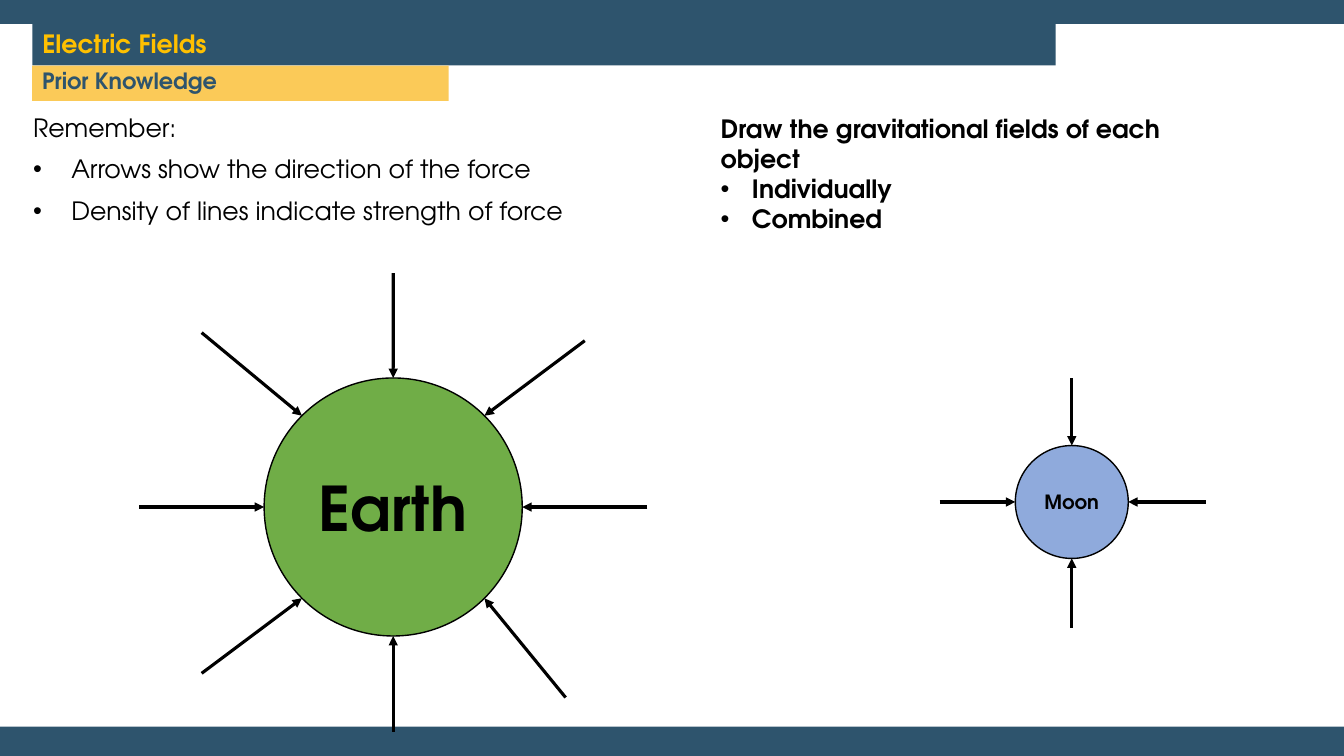
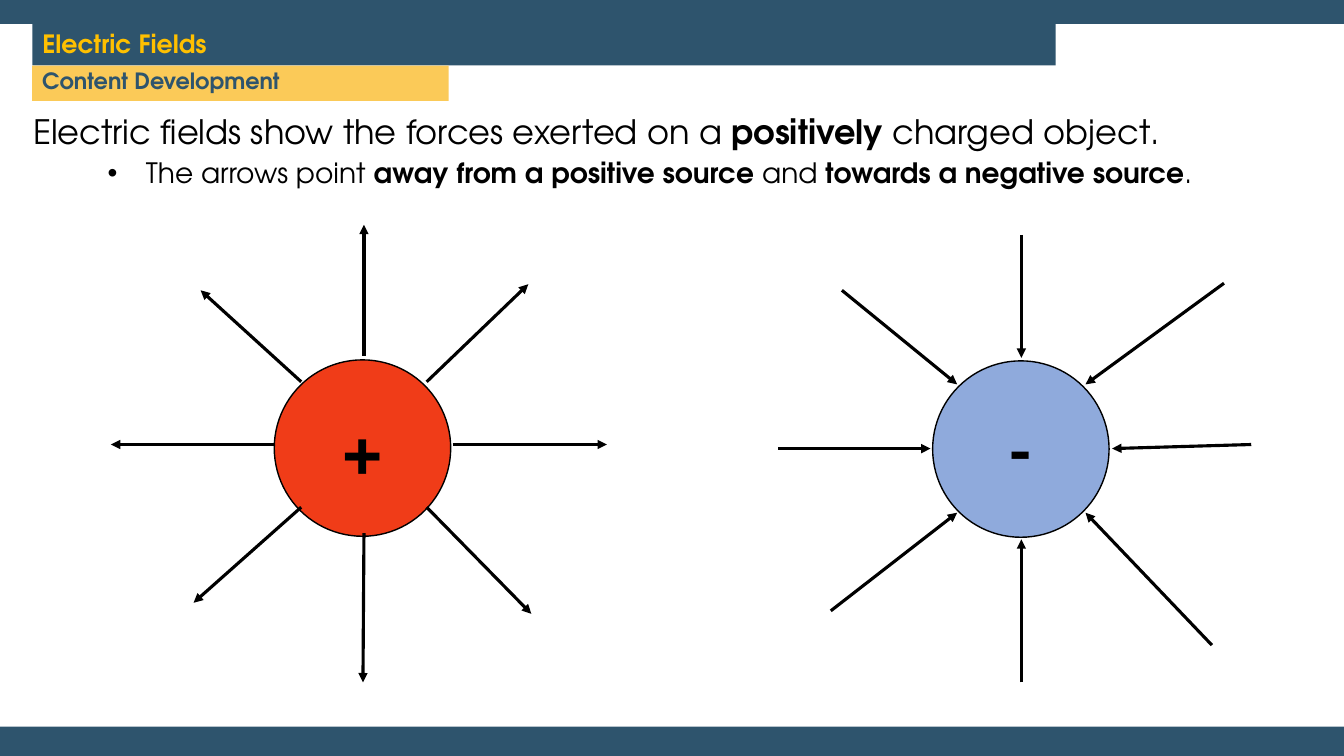
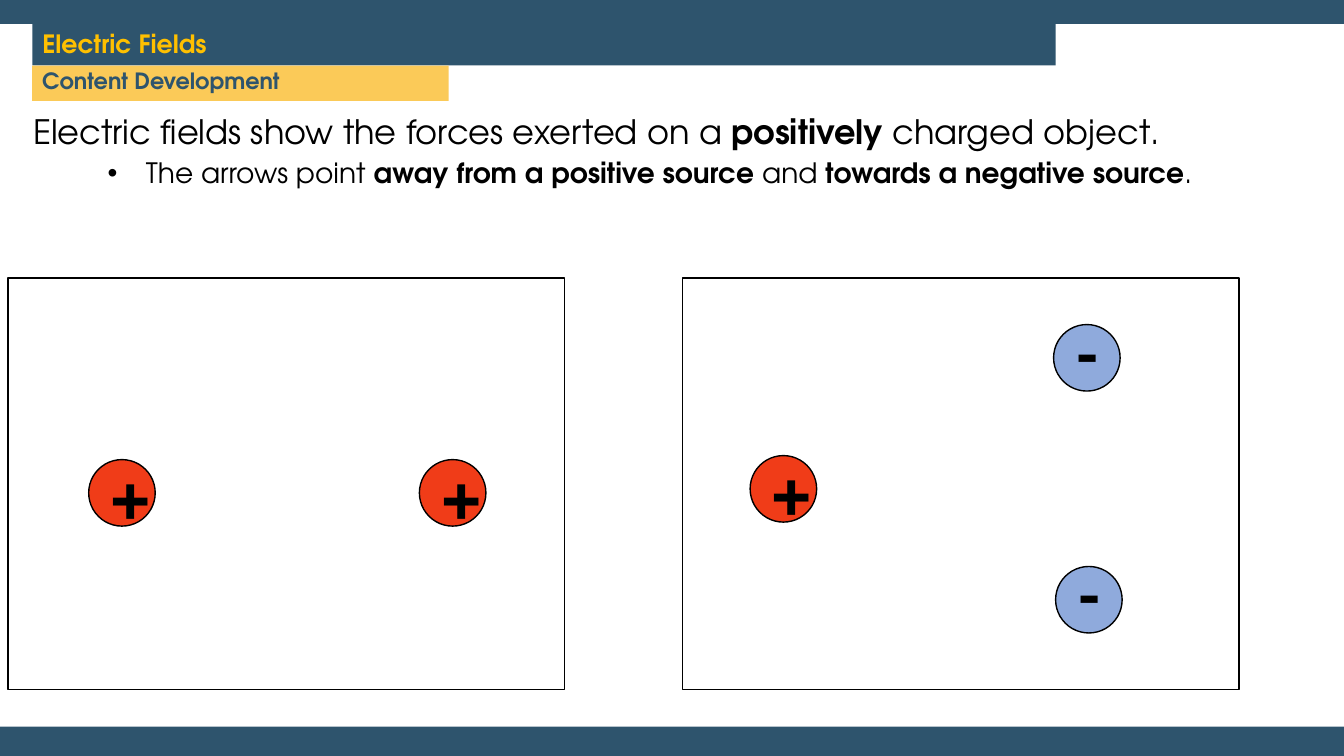
"""Builds three lesson slides on gravitational and electric fields."""
from dataclasses import dataclass
from math import cos, pi, sin

from lxml.etree import SubElement
from pptx import Presentation
from pptx.dml.color import RGBColor
from pptx.enum.shapes import MSO_CONNECTOR, MSO_SHAPE as SHAPE
from pptx.enum.text import MSO_ANCHOR as ANCHOR, MSO_AUTO_SIZE, PP_ALIGN as ALIGN
from pptx.oxml.ns import qn
from pptx.util import Inches, Pt

FONT = "TeX Gyre Adventor"
COLORS = {
    "navy": "2E546D", "white": "FFFFFF", "gold": "FFC000", "sand": "FBCA58",
    "black": "000000", "earth": "70AD47", "blue": "8FAADC", "red": "F03C18",
}
WIDTH, HEIGHT = 13.33, 7.5
NOTES_BOX = (0.23, 1.1, 13.1, 0.97)


@dataclass
class Para:
    """Runs of (text, bold) with the paragraph's format."""
    runs: list
    size: float
    color: str = "black"
    align: ALIGN = ALIGN.LEFT
    left: float = 0
    hang: float = 0
    before: float = 0
    spacing: float = 1.0
    level: int = 0


def rgb(name):
    """Gives the named colour."""
    return RGBColor.from_string(COLORS[name])


def write(frame, paras, anchor=ANCHOR.TOP):
    """Fills a text frame with formatted paragraphs."""
    frame.word_wrap = True
    frame.auto_size = MSO_AUTO_SIZE.NONE
    frame.vertical_anchor = anchor
    for index, para in enumerate(paras):
        line = frame.add_paragraph() if index else frame.paragraphs[0]
        if para.hang:
            props = line._p.get_or_add_pPr()
            props.set("marL", str(Inches(para.left)))
            props.set("indent", str(-Inches(para.hang)))
            SubElement(props, qn("a:buFont")).set("typeface", "Arial")
            SubElement(props, qn("a:buChar")).set("char", "•")
        line.level = para.level
        line.alignment = para.align
        line.line_spacing = para.spacing
        line.space_before = Pt(para.before)
        for text, bold in para.runs:
            span = line.add_run()
            span.text = text
            span.font.name = FONT
            span.font.size = Pt(para.size)
            span.font.bold = bold
            span.font.color.rgb = rgb(para.color)


def add_text(page, box, paras):
    """Adds a text box."""
    area = page.shapes.add_textbox(*map(Inches, box))
    write(area.text_frame, paras)
    return area


def add_block(page, kind, box, fill=None, line=None):
    """Adds a preset shape with a plain fill and an optional outline."""
    block = page.shapes.add_shape(kind, *map(Inches, box))
    block.shadow.inherit = False
    if fill:
        block.fill.solid()
        block.fill.fore_color.rgb = rgb(fill)
    else:
        block.fill.background()
    if line:
        block.line.color.rgb = rgb(line)
        block.line.width = Pt(1)
    else:
        block.line.fill.background()
    return block


def add_ball(page, box, fill, label=None, size=44):
    """Adds an outlined circle at (left, top, diameter), with a label."""
    left, top, diameter = box
    ball = add_block(page, SHAPE.OVAL, (left, top, diameter, diameter), fill, "black")
    if label:
        write(ball.text_frame, [Para([(label, True)], size, align=ALIGN.CENTER)], ANCHOR.MIDDLE)


def add_arrow(page, start, end):
    """Adds a straight line with an arrowhead at its end."""
    arrow = page.shapes.add_connector(MSO_CONNECTOR.STRAIGHT, *map(Inches, start + end))
    arrow.line.color.rgb = rgb("black")
    arrow.line.width = Pt(2.25)
    SubElement(arrow.line._get_or_add_ln(), qn("a:tailEnd")).set("type", "triangle")
    SubElement(arrow._element.spPr, qn("a:effectLst"))


def add_field(page, hub, radius, tips, outward=False):
    """Draws field lines clockwise from the left, between a circle and its tips."""
    x, y = hub
    for index, (across, down) in enumerate(tips):
        angle = pi + 2 * pi * index / len(tips)
        inner = (x + radius * cos(angle), y + radius * sin(angle))
        outer = (x + across, y + down)
        if outward:
            add_arrow(page, inner, outer)
        else:
            add_arrow(page, outer, inner)


def set_frame(deck, layout):
    """Puts the navy background and white panel on the layout."""
    layout.background.fill.solid()
    layout.background.fill.fore_color.rgb = rgb("navy")
    panel = add_block(deck.slides[0], SHAPE.RECTANGLE, (0, 0.24, WIDTH, 6.97), "white")
    layout.shapes.element.insert(2, panel.element)


def add_page(deck, layout, section):
    """Adds a slide with its title band and section band."""
    page = deck.slides.add_slide(layout)
    title = page.shapes.title
    title.left, title.top, title.width, title.height = map(Inches, (0.32, 0.24, 10.15, 0.41))
    title.fill.solid()
    title.fill.fore_color.rgb = rgb("navy")
    write(title.text_frame, [Para([("Electric Fields", True)], 18, "gold", spacing=0.9)], ANCHOR.MIDDLE)
    band = add_text(page, (0.32, 0.65, 4.13, 0.35),
                    [Para([(section, True)], 16, "navy", spacing=0.9)])
    band.fill.solid()
    band.fill.fore_color.rgb = rgb("sand")
    return page


def add_rule(page):
    """Writes the rule about the direction of electric fields."""
    add_text(page, NOTES_BOX, [
        Para([("Electric fields show the forces exerted on a ", False), ("positively", True),
              (" charged object.", False)], 24, align=ALIGN.JUSTIFY, spacing=0.9),
        Para([("The arrows point ", False), ("away from a positive source ", True),
              ("and ", False), ("towards a negative source", True), (".", False)],
             20, align=ALIGN.JUSTIFY, left=1.12, hang=0.38, before=5, spacing=0.9, level=1),
    ])


def fill_gravity(page):
    """Shows the gravitational fields of the Earth and the Moon."""
    bullet = dict(align=ALIGN.JUSTIFY, left=0.38, hang=0.38, before=10, spacing=0.9)
    add_text(page, NOTES_BOX, [
        Para([("Remember:", False)], 18, align=ALIGN.JUSTIFY, spacing=0.9),
        Para([("Arrows show the direction of the force", False)], 18, **bullet),
        Para([("Density of lines indicate strength of force", False)], 18, **bullet),
    ])
    add_ball(page, (2.62, 3.75, 2.56), "earth", "Earth")
    add_ball(page, (10.07, 4.42, 1.12), "blue", "Moon", 14)
    add_field(page, (3.9, 5.03), 1.28, [
        (-2.52, 0), (-1.9, -1.73), (0, -2.32), (1.9, -1.65),
        (2.52, 0), (1.71, 1.89), (0, 2.23), (-1.9, 1.65)])
    add_field(page, (10.63, 4.98), 0.56, [(-1.31, 0), (0, -1.23), (1.33, 0), (0, 1.25)])
    add_text(page, (7.05, 1.07, 5.29, 1.31), [
        Para([("Draw the gravitational fields of each object", True)], 18),
        *(Para([(text, True)], 18, left=0.31, hang=0.31) for text in ("Individually", "Combined")),
    ])


def fill_charges(page):
    """Shows the fields of a positive and a negative charge."""
    add_rule(page)
    add_ball(page, (2.72, 3.57, 1.75), "red", "+")
    add_field(page, (3.61, 4.41), 0.88, [
        (-2.51, 0), (-1.62, -1.53), (0, -2.18), (1.63, -1.59),
        (2.41, 0), (1.66, 1.68), (-0.01, 2.36), (-1.69, 1.57)], outward=True)
    add_ball(page, (9.25, 3.58, 1.75), "blue", "-")
    add_field(page, (10.13, 4.45), 0.9, [
        (-2.41, 0), (-1.78, -1.57), (0, -2.12), (2.01, -1.64),
        (2.28, -0.04), (1.89, 1.95), (0, 2.32), (-1.89, 1.61)])


def add_exercise(page, corner, positives, negatives):
    """Draws a frame with charges placed relative to its corner."""
    left, top = corner
    add_block(page, SHAPE.RECTANGLE, (left, top, 5.52, 4.08), line="black")
    for across, down in positives:
        add_ball(page, (left + across, top + down, 0.66), "red", "+")
    for across, down in negatives:
        x, y = left + across, top + down
        add_ball(page, (x, y, 0.66), "blue")
        add_text(page, (x + 0.11, y - 0.15, 0.94, 0.49), [Para([("-", True)], 44)])


def fill_exercises(page):
    """Shows two groups of charges to draw fields for."""
    add_rule(page)
    add_exercise(page, (0.08, 2.76), [(0.8, 1.8), (4.08, 1.8)], [])
    add_exercise(page, (6.77, 2.76), [(0.67, 1.76)], [(3.68, 0.46), (3.7, 2.86)])


def main():
    """Builds and saves the deck."""
    deck = Presentation()
    deck.slide_width, deck.slide_height = Inches(WIDTH), Inches(HEIGHT)
    layout = deck.slide_layouts[5]
    for section, fill in (("Prior Knowledge", fill_gravity),
                          ("Content Development", fill_charges),
                          ("Content Development", fill_exercises)):
        fill(add_page(deck, layout, section))
    set_frame(deck, layout)
    deck.save("out.pptx")


if __name__ == "__main__":
    main()
